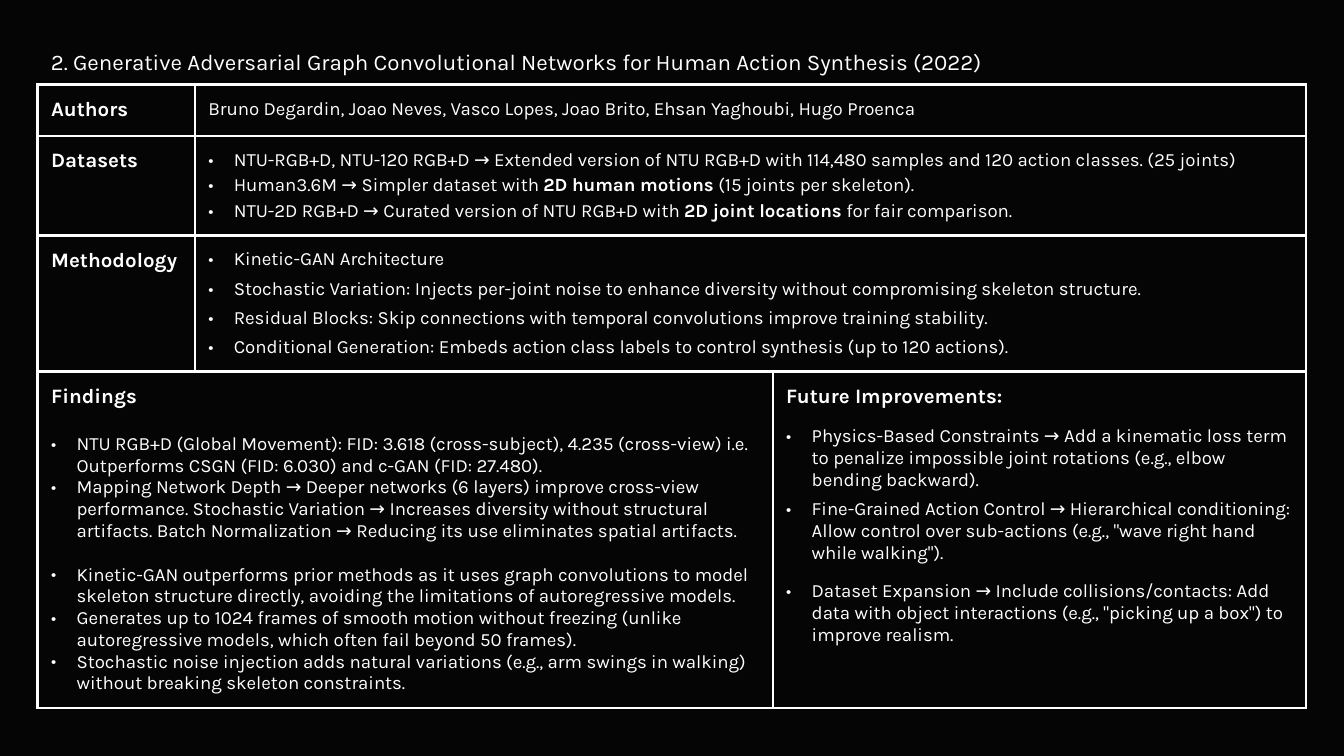
from dataclasses import dataclass
from typing import Sequence

from lxml import etree
from pptx import Presentation
from pptx import util as u
from pptx.dml import color
from pptx.enum import text
from pptx.oxml import ns


@dataclass(frozen=True)
class Theme:
    background: str = "050505"
    ink: str = "FFFFFF"
    font: str = "Karla"
    title: float = 12
    heading: float = 11
    body: float = 10
    border: float = 1.5
    inset: float = 0.1
    hanging: float = 0.19


@dataclass(frozen=True)
class Line:
    content: str
    after: float = 0
    bullet: bool = True
    heading: bool = False


@dataclass(frozen=True)
class Section:
    row: int
    column: int
    lines: Sequence[Line]
    last_column: int


THEME = Theme()
COLUMNS = (1.17, 4.3, 3.97)
ROWS = (0.38, 0.74, 1.0, 2.5)


def heading(content: str, after: float = 0) -> Line:
    return Line(content, after, bullet=False, heading=True)


SECTIONS = (
    Section(0, 0, [heading("Authors")], 0),
    Section(0, 1, [Line("Bruno Degardin, Joao Neves, Vasco Lopes, Joao Brito, Ehsan Yaghoubi, Hugo Proenca",
                        bullet=False)], 2),
    Section(1, 0, [heading("Datasets")], 0),
    Section(1, 1, [
        Line("NTU-RGB+D, NTU-120 RGB+D → Extended version of NTU RGB+D with 114,480 samples "
             "and 120 action classes. (25 joints)", 2),
        Line("Human3.6M → Simpler dataset with **2D human motions **(15 joints per skeleton).", 2),
        Line("NTU-2D RGB+D → Curated version of NTU RGB+D with **2D joint locations **for fair comparison.", 2),
    ], 2),
    Section(2, 0, [heading("Methodology")], 0),
    Section(2, 1, [
        Line("Kinetic-GAN Architecture", 4),
        Line("Stochastic Variation: Injects per-joint noise to enhance diversity without "
             "compromising skeleton structure.", 4),
        Line("Residual Blocks: Skip connections with temporal convolutions improve training stability.", 4),
        Line("Conditional Generation: Embeds action class labels to control synthesis (up to 120 actions).", 4),
    ], 2),
    Section(3, 0, [
        heading("Findings", 13),
        Line("NTU RGB+D (Global Movement): FID: 3.618 (cross-subject), 4.235 (cross-view) i.e. "
             "Outperforms CSGN (FID: 6.030) and c-GAN (FID: 27.480)."),
        Line("Mapping Network Depth → Deeper networks (6 layers) improve cross-view performance. "
             "Stochastic Variation → Increases diversity without structural artifacts. "
             "Batch Normalization → Reducing its use eliminates spatial artifacts.", 11.7),
        Line("Kinetic-GAN outperforms prior methods as it uses graph convolutions to model skeleton "
             "structure directly, avoiding the limitations of autoregressive models."),
        Line("Generates up to 1024 frames of smooth motion without freezing (unlike autoregressive "
             "models, which often fail beyond 50 frames)."),
        Line("Stochastic noise injection adds natural variations (e.g., arm swings in walking) "
             "without breaking skeleton constraints."),
    ], 1),
    Section(3, 2, [
        heading("Future Improvements:", 9),
        Line("Physics-Based Constraints → Add a kinematic loss term to penalize impossible joint "
             "rotations (e.g., elbow bending backward).", 4),
        Line("Fine-Grained Action Control → Hierarchical conditioning: Allow control over sub-actions "
             '(e.g., "wave right hand while walking").', 9),
        Line("Dataset Expansion → Include collisions/contacts: Add data with object interactions "
             '(e.g., "picking up a box") to improve realism.', 9),
    ], 2),
)


def style_run(run, size: float, bold: bool = False) -> None:
    run.font.name = THEME.font
    run.font.size = u.Pt(size)
    run.font.bold = bold
    run.font.color.rgb = color.RGBColor.from_string(THEME.ink)


def add_color(parent, tag: str) -> None:
    holder = etree.SubElement(parent, ns.qn(tag))
    etree.SubElement(holder, ns.qn("a:srgbClr"), val=THEME.ink)


def add_bullet(paragraph) -> None:
    properties = paragraph._p.get_or_add_pPr()
    hanging = u.Inches(THEME.hanging)
    properties.set("marL", str(hanging))
    properties.set("indent", str(-hanging))
    add_color(properties, "a:buClr")
    etree.SubElement(properties, ns.qn("a:buFont"), typeface=THEME.font)
    etree.SubElement(properties, ns.qn("a:buChar"), char="•")


def write_lines(frame, lines: Sequence[Line]) -> None:
    for index, line in enumerate(lines):
        paragraph = frame.add_paragraph() if index else frame.paragraphs[0]
        if line.bullet:
            add_bullet(paragraph)
        paragraph.space_after = u.Pt(line.after)
        for part, words in enumerate(line.content.split("**")):
            run = paragraph.add_run()
            run.text = words
            style_run(run, THEME.heading if line.heading else THEME.body, line.heading or part % 2 == 1)


def style_cell(cell) -> None:
    cell.margin_left = cell.margin_right = u.Inches(THEME.inset)
    cell.margin_top = cell.margin_bottom = u.Inches(THEME.inset)
    cell.vertical_anchor = text.MSO_ANCHOR.TOP
    properties = cell._tc.get_or_add_tcPr()
    for side in "RTB" if cell.is_spanned else "LRTB":
        edge = etree.SubElement(properties, ns.qn(f"a:ln{side}"), w=str(u.Pt(THEME.border)))
        add_color(edge, "a:solidFill")
    cell.fill.background()


def add_summary(slide) -> None:
    frame = slide.shapes.add_table(len(ROWS), len(COLUMNS), u.Inches(0.28), u.Inches(0.63),
                                   u.Inches(sum(COLUMNS)), u.Inches(sum(ROWS)))
    summary = frame.table
    summary.first_row = summary.horz_banding = False
    for column, width in zip(summary.columns, COLUMNS):
        column.width = u.Inches(width)
    for row, height in zip(summary.rows, ROWS):
        row.height = u.Inches(height)
    for section in SECTIONS:
        cell = summary.cell(section.row, section.column)
        if section.last_column > section.column:
            cell.merge(summary.cell(section.row, section.last_column))
        write_lines(cell.text_frame, section.lines)
    for cell in summary.iter_cells():
        style_cell(cell)


def add_title(slide) -> None:
    title = slide.shapes.add_textbox(u.Inches(0.28), u.Inches(0.26), u.Inches(8.43), u.Inches(0.35))
    frame = title.text_frame
    frame.word_wrap = True
    frame.margin_left = frame.margin_top = frame.margin_bottom = u.Inches(THEME.inset)
    frame.margin_right = 0
    frame.text = "2. Generative Adversarial Graph Convolutional Networks for Human Action Synthesis (2022)"
    style_run(frame.paragraphs[0].runs[0], THEME.title)


def main() -> None:
    """Build the one-page summary of the action synthesis paper."""
    deck = Presentation()
    deck.slide_width = u.Inches(10)
    deck.slide_height = deck.slide_width * 9 // 16
    slide = deck.slides.add_slide(deck.slide_layouts[6])
    slide.background.fill.solid()
    slide.background.fill.fore_color.rgb = color.RGBColor.from_string(THEME.background)
    add_summary(slide)
    add_title(slide)
    deck.save("out.pptx")


if __name__ == "__main__":
    main()
